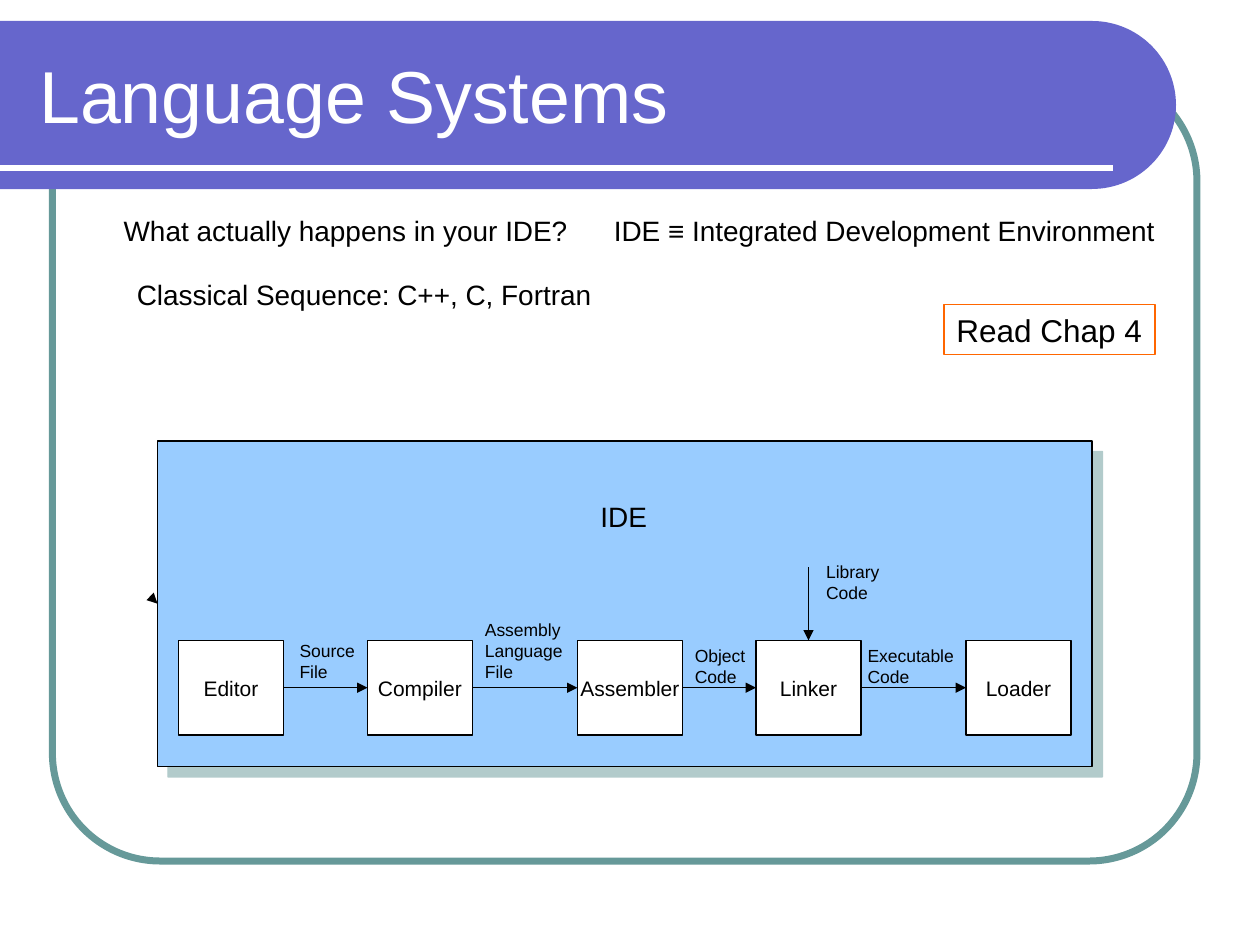
from math import cos, pi, sin
from lxml.etree import SubElement as Sub
from pptx import Presentation
from pptx.dml.color import RGBColor as Rgb
from pptx.enum.shapes import MSO_CONNECTOR as Link, MSO_SHAPE as Kind
from pptx.enum.text import MSO_ANCHOR as Anchor, PP_ALIGN as Align
from pptx.oxml.ns import qn
from pptx.util import Emu, Inches, Pt

THEME = {
    "font": "Arial", "ink": "000000", "paper": "FFFFFF", "band": "6666CC",
    "frame": "669999", "panel": "99CCFF", "note": "FF6600",
    "title": 42, "body": 16, "read": 18, "step": 12, "label": 10,
}
COLS, ROWS = 120, 90
UNIT = Inches(10) / COLS

BAND = (0, 2, 112, 16)
FRAME = (5, 7, 109, 75)
PANEL = (15, 42, 89, 31)
TITLE = ("Language Systems", (2.55, 3, 105.25, 12))
LINES = [
    ("What actually happens in your IDE?\tIDE ≡ Integrated Development Environment",
     (10.6, 19.75, 103, 4.4), "body"),
    ("Classical Sequence: C++, C, Fortran", (11.85, 25.8, 48, 4.4), "body"),
    ("IDE", (56, 47, 8, 4.4), "body"),
]
STEPS = [("Editor", 17), ("Compiler", 35), ("Assembler", 55),
         ("Linker", 72), ("Loader", 92)]
STEP_TOP, STEP_W, STEP_H = 61, 10, 9
LABELS = [
    ("Source\vFile", (27.35, 60.4, 8.5, 5.3), "label"),
    ("Assembly\nLanguage\nFile", (45, 58.35, 10.7, 7.2), "label"),
    ("Object\nCode", (65, 60.8, 8, 5.3), "label"),
    ("Library\nCode", (77.5, 52.8, 8.5, 5.3), "label"),
    ("Executable\nCode", (81.45, 60.8, 11.5, 5.3), "label"),
]
READ = ("Read Chap 4", (89.9, 29, 20.1, 4.8))

deck = Presentation()
deck.slide_width, deck.slide_height = Emu(int(COLS * UNIT)), Emu(int(ROWS * UNIT))
page = deck.slides.add_slide(deck.slide_layouts[6]).shapes


def grid(*nums):
    return [Emu(round(n * UNIT)) for n in nums]


def tint(name):
    return Rgb.from_string(THEME[name])


def paint(shape, fill, line=None, width=0.75):
    shape.shadow.inherit = False
    if fill:
        shape.fill.solid()
        shape.fill.fore_color.rgb = tint(fill)
    else:
        shape.fill.background()
    if line:
        shape.line.color.rgb = tint(line)
        shape.line.width = Pt(width)
    else:
        shape.line.fill.background()
    return shape


def block(area, fill, line, width=0.75, kind=Kind.RECTANGLE):
    return paint(page.add_shape(kind, *grid(*area)), fill, line, width)


def write(shape, text, size, ink="ink", align=Align.LEFT, anchor=Anchor.TOP, wrap=False):
    frame = shape.text_frame
    frame.text, frame.word_wrap, frame.vertical_anchor = text, wrap, anchor
    for para in frame.paragraphs:
        para.alignment = align
        if "\t" in text:
            tabs = Sub(para._p.get_or_add_pPr(), qn("a:tabLst"))
            Sub(tabs, qn("a:tab"), pos=str(Inches(3.89)), algn="l")
        font = para.font
        font.name, font.size = THEME["font"], Pt(THEME[size])
        font.color.rgb = tint(ink)


def note(text, area, size, **more):
    write(page.add_textbox(*grid(*area)), text, size, wrap=True, **more)


def wire(start, end, ink="ink", width=0.75, head=True):
    line = page.add_connector(Link.STRAIGHT, *grid(*start, *end))
    line.line.color.rgb, line.line.width = tint(ink), Pt(width)
    if head:
        Sub(line.line._get_or_add_ln(), qn("a:tailEnd"), type="triangle")
    Sub(line._element.spPr, qn("a:effectLst"))
    return line


def join(one, two):
    line = wire((0, 0), (0, 0))
    line.begin_connect(one, 3)
    line.end_connect(two, 1)


def band(left, top, wide, high):
    rad = high / 2
    turns = [-pi / 2 + pi * n / 60 for n in range(61)]
    arc = [(left + wide - rad + rad * cos(a), top + rad + rad * sin(a)) for a in turns]
    path = page.build_freeform(*grid(left, top))
    path.add_line_segments([grid(*dot) for dot in arc + [(left, top + high)]])
    paint(path.convert_to_shape(), "band")


def shade(shape):
    glow = Sub(shape._element.spPr.find(qn("a:effectLst")), qn("a:outerShdw"),
               blurRad="0", dist=str(Pt(8.5)), dir="2700000", algn="ctr", rotWithShape="0")
    hue = Sub(glow, qn("a:srgbClr"), val=THEME["frame"])
    Sub(hue, qn("a:alpha"), val="50000")


block(FRAME, None, "frame", 4, Kind.ROUNDED_RECTANGLE).adjustments[0] = 0.137
band(*BAND)
wire((0, 16), (106, 16), "paper", 3, False)
note(*TITLE, "title", ink="paper", anchor=Anchor.MIDDLE)

panel = block(PANEL, "panel", "ink")
shade(panel)
for line in LINES:
    note(*line)

steps = []
for name, col in STEPS:
    step = block((col, STEP_TOP, STEP_W, STEP_H), "paper", "ink")
    write(step, name, "step", align=Align.CENTER, anchor=Anchor.MIDDLE)
    steps.append(step)

wire((14.3, 56.8), (15, 57.5)).end_connect(panel, 1)
for one, two in zip(steps, steps[1:]):
    join(one, two)
mid = STEPS[3][1] + STEP_W / 2
wire((mid, 54), (mid, STEP_TOP)).end_connect(steps[3], 0)
for label in LABELS:
    note(*label)

text, area = READ
write(block(area, None, "note"), text, "read")

deck.save("out.pptx")
